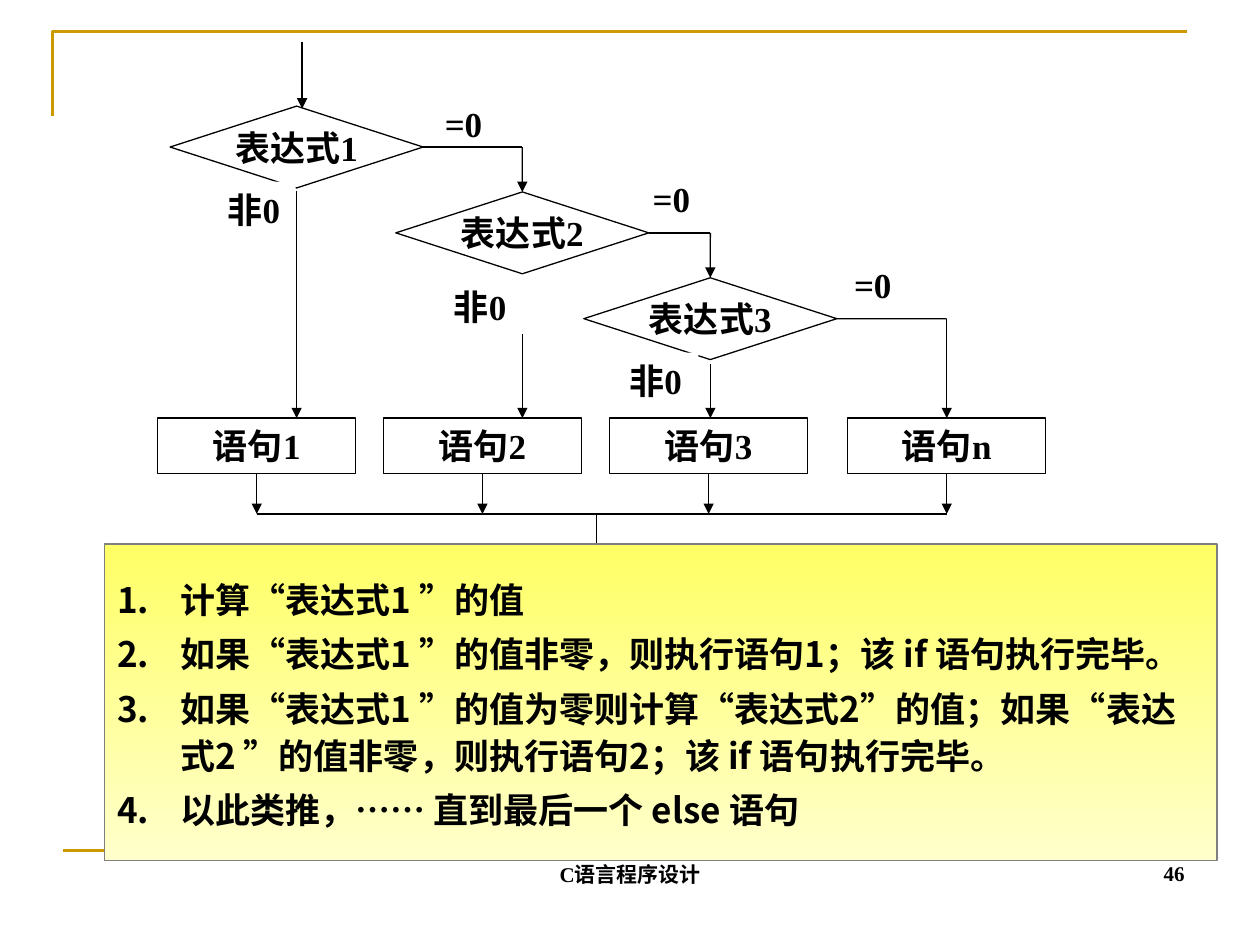
from lxml import etree
from pptx import Presentation
from pptx import util as u
from pptx.dml.color import RGBColor
from pptx.enum import shapes, text
from pptx.oxml import ns

BLACK = RGBColor(0x00, 0x00, 0x00)
WHITE = RGBColor(0xFF, 0xFF, 0xFF)
GOLD = RGBColor(0xCC, 0x99, 0x00)
GREY = RGBColor(0x7F, 0x7F, 0x7F)
YELLOW = RGBColor(0xFF, 0xFF, 0x66)
CREAM = RGBColor(0xFF, 0xFF, 0xCC)
SERIF = "Times New Roman"
SANS = "Noto Sans CJK SC"
CENTER = text.PP_ALIGN.CENTER

STEPS = [
    "计算“表达式1 ”的值",
    "如果“表达式1 ”的值非零，则执行语句1；该 if 语句执行完毕。",
    "如果“表达式1 ”的值为零则计算“表达式2”的值；如果“表达式2 ”的值非零，则执行语句2；该 if 语句执行完毕。",
    "以此类推，…… 直到最后一个 else 语句",
]


def write(para, words, size=20, font=SERIF, align=CENTER):
    """Put bold black words into a paragraph."""
    para.alignment = align
    span = para.add_run()
    span.text = words
    span.font.size = u.Pt(size)
    span.font.bold = True
    span.font.name = font
    span.font.color.rgb = BLACK
    east = etree.SubElement(span.font._element, ns.qn("a:ea"))
    east.set("typeface", SANS)


def add_box(page, left, top, width, height, words="", kind=shapes.MSO_SHAPE.RECTANGLE,
            line=BLACK, wrap=False):
    """Add a white shape with centred words and an optional outline."""
    box = page.shapes.add_shape(kind, u.Cm(left), u.Cm(top), u.Cm(width), u.Cm(height))
    box.shadow.inherit = False
    box.fill.solid()
    box.fill.fore_color.rgb = WHITE
    if line is None:
        box.line.fill.background()
    else:
        box.line.color.rgb = line
        box.line.width = u.Pt(0.75)
    frame = box.text_frame
    frame.word_wrap = wrap
    frame.vertical_anchor = text.MSO_ANCHOR.MIDDLE
    if words:
        write(frame.paragraphs[0], words)
    return box


def add_line(page, start, end, color=BLACK, weight=0.75, arrow=False, begin=None, finish=None):
    """Add a straight line, joined to (shape, site) pairs where they are given."""
    line = page.shapes.add_connector(
        shapes.MSO_CONNECTOR.STRAIGHT, *(u.Cm(value) for value in (*start, *end)))
    line.line.color.rgb = color
    line.line.width = u.Pt(weight)
    if arrow:
        etree.SubElement(line.line._get_or_add_ln(), ns.qn("a:tailEnd")).set("type", "triangle")
    etree.SubElement(line._element.spPr, ns.qn("a:effectLst"))
    if begin:
        line.begin_connect(*begin)
    if finish:
        line.end_connect(*finish)


def add_frame(page, left, top, width, height):
    """Draw the gold corner and the gold line above the footer."""
    builder = page.shapes.build_freeform(u.Cm(left), u.Cm(top + 1.7))
    builder.add_line_segments(
        [(u.Cm(left), u.Cm(top)), (u.Cm(left + width), u.Cm(top))], close=False)
    corner = builder.convert_to_shape()
    corner.shadow.inherit = False
    corner.fill.background()
    corner.line.color.rgb = GOLD
    corner.line.width = u.Pt(1.5)
    base = top + height
    add_line(page, (left + 0.2, base), (left + 0.2 + width, base), color=GOLD, weight=1.5)


def add_footer(page, left, top, width, height, words, align):
    """Add one piece of footer text."""
    box = page.shapes.add_textbox(u.Cm(left), u.Cm(top), u.Cm(width), u.Cm(height))
    frame = box.text_frame
    frame.word_wrap = True
    frame.vertical_anchor = text.MSO_ANCHOR.BOTTOM
    write(frame.paragraphs[0], words, size=12, align=align)


def add_flow(page, left, top):
    """Draw the chain of tests, their statements and the shared exit."""
    test_width, test_height = 5.1, 1.65
    statement_width, label_height = 3.99, 1.12
    statement_top, bus = top + 7.59, top + 9.52
    test_places = [(left + x, top + 1.3 + 1.73 * i) for i, x in enumerate((0.25, 4.8, 8.59))]
    statement_lefts = [left + x for x in (0, 4.55, 9.11, 13.91)]

    for x, y in ((5.53, 1.09), (9.72, 2.61), (13.78, 4.34)):
        add_box(page, left + x, top + y, 1.27, label_height, "=0", line=None)
    tests = [
        add_box(page, x, y, test_width, test_height, f"表达式{i}",
                shapes.MSO_SHAPE.FLOWCHART_DECISION)
        for i, (x, y) in enumerate(test_places, 1)]
    statements = [
        add_box(page, x, statement_top, statement_width, label_height, f"语句{name}", wrap=True)
        for x, name in zip(statement_lefts, "123n")]
    add_line(page, (left + 2.91, top), (left + 2.91, top + 1.35), arrow=True)

    test_centers = [x + test_width / 2 for x, _ in test_places]
    statement_centers = [x + statement_width / 2 for x in statement_lefts]
    turns = test_centers[1:] + statement_centers[-1:]
    targets = tests[1:] + statements[-1:]
    for test, (x, y), turn, target in zip(tests, test_places, turns, targets):
        middle = y + test_height / 2
        add_line(page, (x + test_width, middle), (turn, middle), begin=(test, 3))
        add_line(page, (turn, middle), (turn, middle + 1), arrow=True, finish=(target, 0))

    for center, y in zip(test_centers, (3.02, 4.82, 6.5)):
        add_line(page, (center, top + y), (center, statement_top), arrow=True)
    for x, y, width in ((1.1, 2.82, 1.68), (5.56, 4.77, 1.88), (9.17, 6.27, 1.73)):
        add_box(page, left + x, top + y, width, label_height, "非0", line=None)

    for statement, center in zip(statements, statement_centers):
        add_line(page, (center, statement_top + label_height), (center, bus),
                 arrow=True, begin=(statement, 2))
    add_line(page, (statement_centers[0], bus), (statement_centers[-1], bus))
    add_line(page, (left + 8.85, bus), (left + 8.85, bus + 0.86), arrow=True)


def add_steps(page, left, top, width, height):
    """Add the yellow panel with the numbered steps."""
    panel = add_box(page, left, top, width, height, line=GREY, wrap=True)
    panel.line.width = u.Pt(1)
    panel.fill.gradient()
    panel.fill.gradient_angle = 270
    for stop, color in zip(panel.fill.gradient_stops, (YELLOW, CREAM)):
        stop.color.rgb = color
    frame = panel.text_frame
    for i, words in enumerate(STEPS):
        para = frame.add_paragraph() if i else frame.paragraphs[0]
        layout = para._p.get_or_add_pPr()
        layout.set("marL", str(u.Cm(1.27)))
        layout.set("indent", str(-u.Cm(1.27)))
        layout.set("hangingPunct", "0")
        etree.SubElement(layout, ns.qn("a:buFont")).set("typeface", SANS)
        etree.SubElement(layout, ns.qn("a:buAutoNum")).set("type", "arabicPeriod")
        para.line_spacing = 1.1
        para.space_before = u.Pt(5 if i else 0)
        write(para, words, font=SANS, align=text.PP_ALIGN.LEFT)


def main():
    """Build the slide and save it."""
    deck = Presentation()
    deck.slide_width, deck.slide_height = u.Cm(25.4), u.Cm(19.05)
    page = deck.slides.add_slide(deck.slide_layouts[6])
    add_frame(page, 1.06, 0.63, 22.86, 16.51)
    add_footer(page, 8.68, 16.74, 8.05, 1.27, "C语言程序设计", CENTER)
    add_footer(page, 18.21, 16.71, 5.92, 1.27, "46", text.PP_ALIGN.RIGHT)
    add_flow(page, 3.18, 0.84)
    add_steps(page, 2.11, 10.97, 22.43, 6.38)
    deck.save("out.pptx")


if __name__ == "__main__":
    main()
